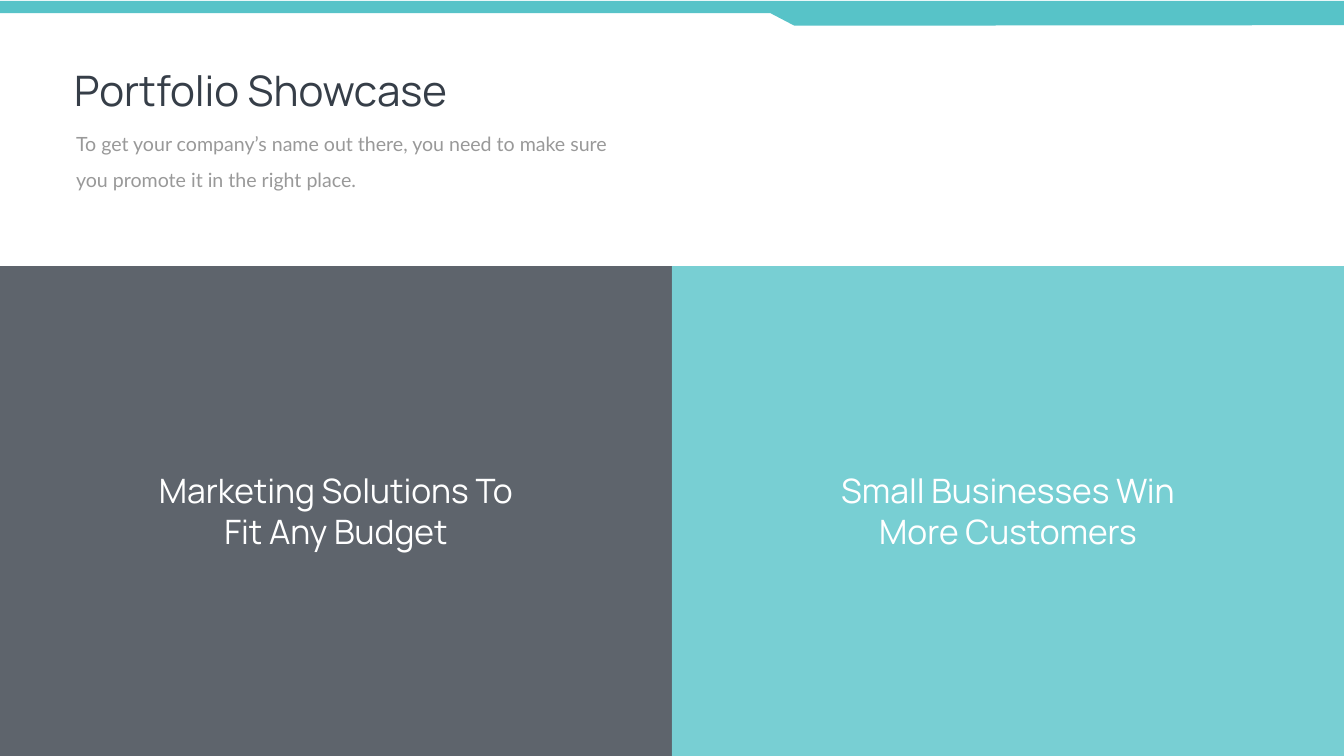
from lxml.etree import SubElement
from pptx import Presentation
from pptx.dml.color import RGBColor
from pptx.enum.shapes import MSO_SHAPE
from pptx.enum.text import MSO_AUTO_SIZE, PP_ALIGN
from pptx.oxml.ns import qn
from pptx.util import Inches, Pt

COLORS = {
    "teal": "57C3C8",
    "slate": "363E48",
    "gray": "999999",
    "white": "FFFFFF",
}
WIDTH, HEIGHT = Inches(26.66), Inches(15)
COLUMNS = ROWS = 100
PANEL_TOP = 35.2
PANEL_WIDTH = COLUMNS / 2
LABEL_TOP, LABEL_WIDTH, LABEL_HEIGHT = 61.87, 28.84, 11.47
PANELS = [
    ("slate", "Marketing Solutions To Fit Any Budget"),
    ("teal", "Small Businesses Win More Customers"),
]
BANNER_POINTS = [
    (0, 0.13), (100, 0.13), (100, 3.33), (59.11, 3.4), (57.31, 1.73), (0, 1.73),
]


def across(columns):
    return round(WIDTH * columns / COLUMNS)


def down(rows):
    return round(HEIGHT * rows / ROWS)


def box(left, top, width, height):
    return across(left), down(top), across(width), down(height)


def paint(shape, color, opacity=100):
    shape.shadow.inherit = False
    shape.line.fill.background()
    shape.fill.solid()
    shape.fill.fore_color.rgb = RGBColor.from_string(COLORS[color])
    if opacity < 100:
        color_element = shape.fill._xPr.find(qn("a:solidFill"))[0]
        SubElement(color_element, qn("a:alpha"), val=str(opacity * 1000))


def add_text(slide, place, text, font, size, color, align=PP_ALIGN.LEFT, spacing=1.0):
    frame = slide.shapes.add_textbox(*box(*place)).text_frame
    frame.word_wrap = True
    frame.auto_size = MSO_AUTO_SIZE.SHAPE_TO_FIT_TEXT
    paragraph = frame.paragraphs[0]
    paragraph.alignment = align
    paragraph.line_spacing = spacing
    run = paragraph.add_run()
    run.text = text
    run.font.name = font
    run.font.size = Pt(size)
    run.font.color.rgb = RGBColor.from_string(COLORS[color])


def add_panel(slide, index, color, label):
    left = index * PANEL_WIDTH
    place = box(left, PANEL_TOP, PANEL_WIDTH, ROWS - PANEL_TOP)
    paint(slide.shapes.add_shape(MSO_SHAPE.RECTANGLE, *place), color, 80)
    label_left = left + (PANEL_WIDTH - LABEL_WIDTH) / 2
    add_text(slide, (label_left, LABEL_TOP, LABEL_WIDTH, LABEL_HEIGHT),
             label, "Manrope", 48, "white", PP_ALIGN.CENTER)


def add_banner(slide):
    points = [(across(column), down(row)) for column, row in BANNER_POINTS]
    builder = slide.shapes.build_freeform(*points[0])
    builder.add_line_segments(points[1:], close=True)
    paint(builder.convert_to_shape(), "teal")


def main():
    presentation = Presentation()
    presentation.slide_width, presentation.slide_height = WIDTH, HEIGHT
    slide = presentation.slides.add_slide(presentation.slide_layouts[6])
    for index, (color, label) in enumerate(PANELS):
        add_panel(slide, index, color, label)
    add_text(slide, (5.14, 8.2, 52.32, 7.4), "Portfolio Showcase", "Manrope", 60, "slate")
    add_text(slide, (5.29, 15.6, 42.05, 9.47),
             "To get your company’s name out there, you need to make sure "
             "you promote it in the right place.",
             "Lato", 28, "gray", spacing=1.5)
    add_banner(slide)
    presentation.save("out.pptx")


if __name__ == "__main__":
    main()
